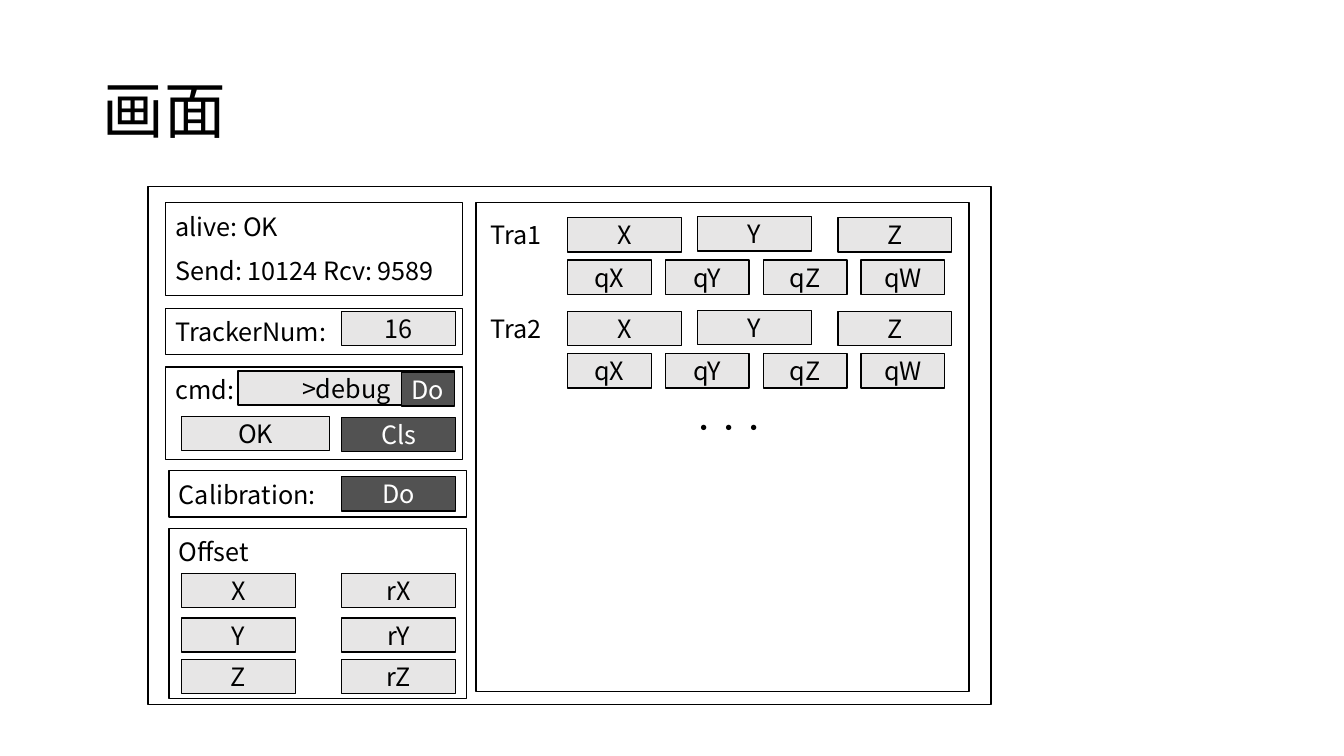
"""Build the slide showing the layout of the tracker control screen."""
from itertools import product

from lxml.etree import SubElement
from pptx import Presentation
from pptx.dml.color import RGBColor
from pptx.enum.shapes import MSO_SHAPE as Shape
from pptx.enum.text import MSO_ANCHOR as Anchor, MSO_AUTO_SIZE as AutoSize, PP_ALIGN as Align
from pptx.oxml.ns import qn
from pptx.util import Inches, Pt

BLACK = RGBColor(0x00, 0x00, 0x00)
WHITE = RGBColor(0xFF, 0xFF, 0xFF)
LIGHT = RGBColor(0xE7, 0xE6, 0xE6)
DARK = RGBColor(0x52, 0x52, 0x52)
FONT = "Noto Sans CJK JP"
CELL = Inches(0.1)

deck = Presentation()
deck.slide_width, deck.slide_height = Inches(13.33), Inches(7.5)
page = deck.slides.add_slide(deck.slide_layouts[5])


def write(box, text, size=18, color=BLACK, para_format={}, **frame_format):
    frame = box.text_frame
    para = frame.paragraphs[0]
    span = para.add_run()
    span.text = text
    formats = (
        (frame, {"word_wrap": True, **frame_format}),
        (para, {"alignment": Align.LEFT, **para_format}),
        (span.font, {"name": FONT, "size": Pt(size)}),
    )
    for target, values in formats:
        for name, value in values.items():
            setattr(target, name, value)
    span.font.color.rgb = color
    SubElement(span.font._element, qn("a:ea"), typeface=FONT)


def add_box(column, row, columns, rows, fill=None):
    box = page.shapes.add_shape(Shape.RECTANGLE, *(round(n * CELL) for n in (column, row, columns, rows)))
    box.shadow.inherit = False
    box.line.color.rgb = BLACK
    box.line.width = Pt(1)
    if fill is None:
        box.fill.background()
    else:
        box.fill.solid()
        box.fill.fore_color.rgb = fill
    return box


title = page.shapes.title
title_place = {"left": 9.2, "top": 4, "width": 115, "height": 14.5}
for side, cells in title_place.items():
    setattr(title, side, round(cells * CELL))
write(title, "画面", 44, para_format={"line_spacing": 0.9},
      vertical_anchor=Anchor.MIDDLE, auto_size=AutoSize.NONE)

LEFT, LEFT_LOW, RIGHT = 16.4, 16.75, 47.2
PANEL_WIDTH = 29.5
panels = [
    (14.7, 18.5, 83.6, 51.4),
    (RIGHT, 20.1, 48.9, 48.5),
    (LEFT, 20.1, PANEL_WIDTH, 9.2),
    (LEFT, 30.6, PANEL_WIDTH, 4.6),
    (LEFT, 36.4, PANEL_WIDTH, 9.2),
    (LEFT_LOW, 46.7, PANEL_WIDTH, 4.6),
    (LEFT_LOW, 52.4, PANEL_WIDTH, 16.9),
]
for panel in panels:
    add_box(*panel)

FIELD_WIDTH, FIELD_HEIGHT, QUATERNION_WIDTH = 11.3, 3.4, 8.3
FIRST, SECOND = 18, 33.9
labels = [
    ("alive: OK", LEFT, 20.5, 21.8),
    ("Send: 10124 Rcv: 9589", LEFT, 24.8, PANEL_WIDTH),
    ("TrackerNum:", LEFT, 30.9, PANEL_WIDTH),
    ("cmd:", LEFT, 36.6, PANEL_WIDTH),
    ("Calibration:", LEFT_LOW, 47.1, PANEL_WIDTH),
    ("Offset", LEFT_LOW, 52.7, PANEL_WIDTH),
    ("・・・", 67.6, 40.4, PANEL_WIDTH),
]
fields = [
    ("16", SECOND, 30.9, FIELD_WIDTH, LIGHT),
    (">debug", 23.6, 36.8, 21.5, LIGHT),
    ("Do", 39.8, 36.9, 5.3, DARK),
    ("OK", FIRST, 41.3, 14.7, LIGHT),
    ("Cls", SECOND, 41.4, FIELD_WIDTH, DARK),
    ("Do", SECOND, 47.3, FIELD_WIDTH, DARK),
]
offset_columns = (("", FIRST), ("r", SECOND))
offset_rows = (("X", 56.9), ("Y", 61.3), ("Z", 65.4))
for (prefix, column), (axis, row) in product(offset_columns, offset_rows):
    fields.append((prefix + axis, column, row, FIELD_WIDTH, LIGHT))

position_columns = (("X", 56.3, 0.1), ("Y", 69.2, 0), ("Z", 83.1, 0.1))
for number in (1, 2):
    top = 21.5 + 9.3 * (number - 1)
    labels.append((f"Tra{number}", 47.7, top - 0.2, 7.7))
    for axis, column, drop in position_columns:
        fields.append((axis, column, top + drop, FIELD_WIDTH, LIGHT))
    for index, axis in enumerate("XYZW"):
        fields.append((f"q{axis}", 56.3 + 9.7 * index, top + 4.3, QUATERNION_WIDTH, LIGHT))

for text, column, row, columns in labels:
    label = page.shapes.add_textbox(*(round(n * CELL) for n in (column, row, columns, 4)))
    write(label, text, auto_size=AutoSize.SHAPE_TO_FIT_TEXT)

for text, column, row, columns, fill in fields:
    field = add_box(column, row, columns, FIELD_HEIGHT, fill)
    write(field, text, color=WHITE if fill == DARK else BLACK,
          para_format={"alignment": Align.CENTER}, vertical_anchor=Anchor.MIDDLE)

deck.save("out.pptx")
